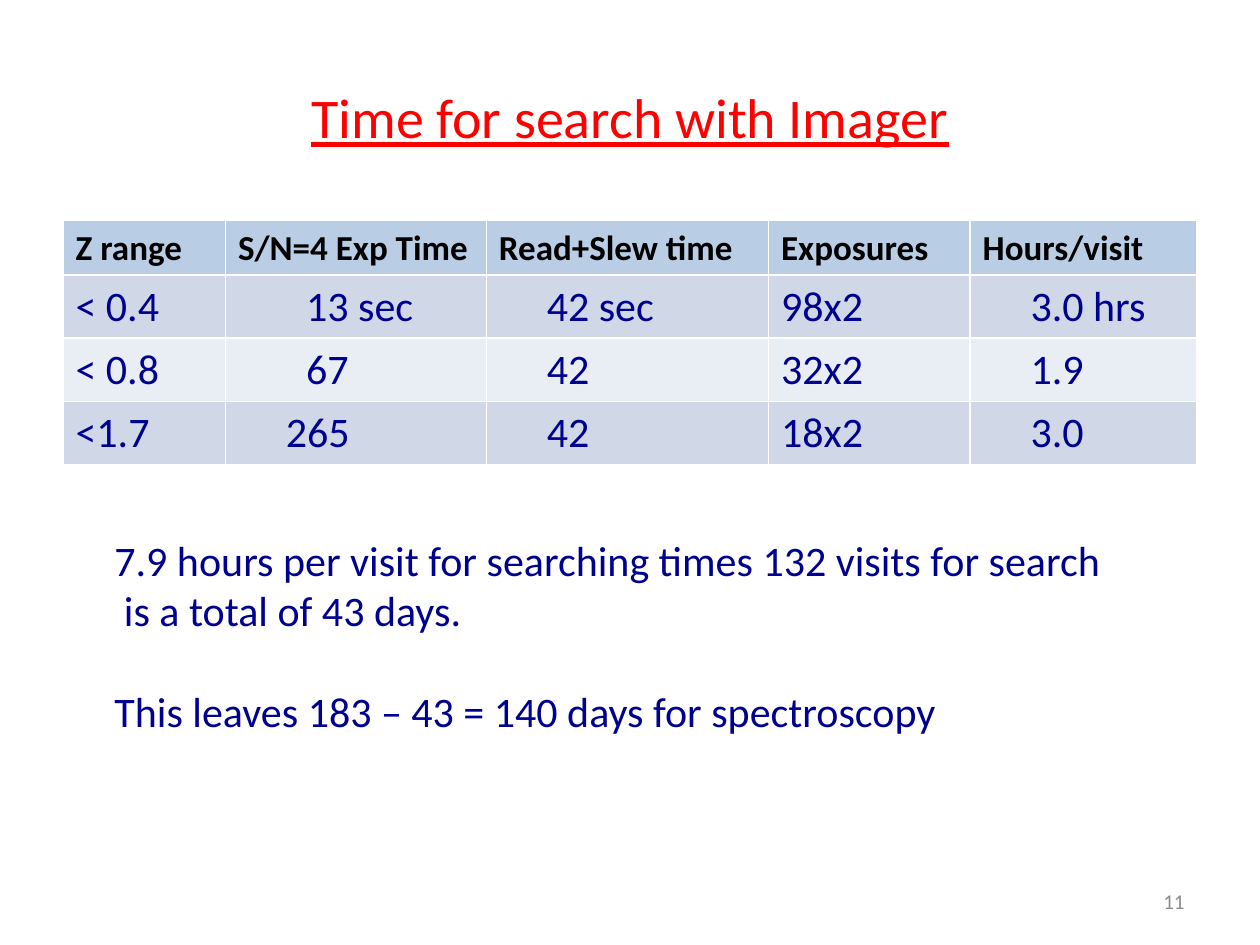
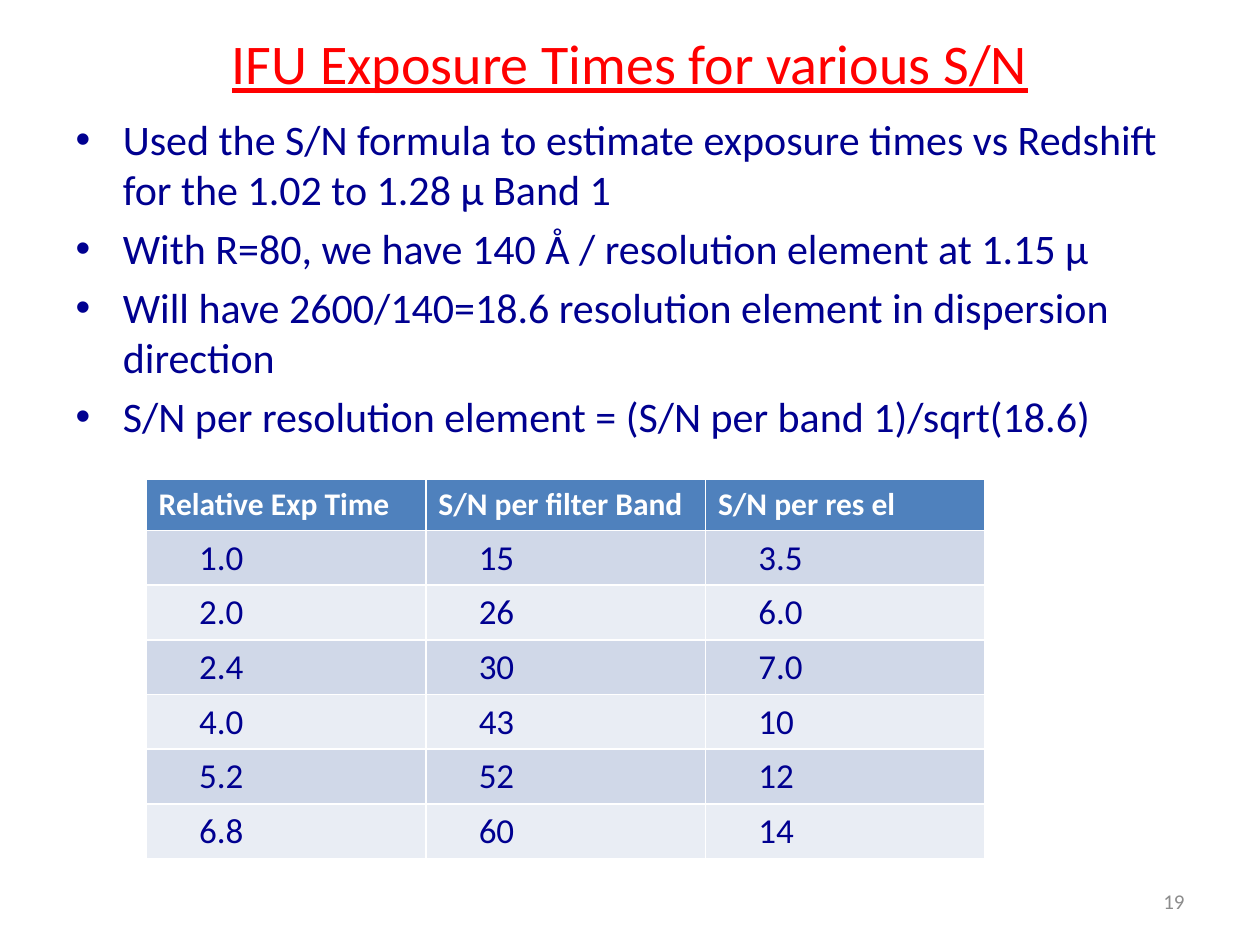
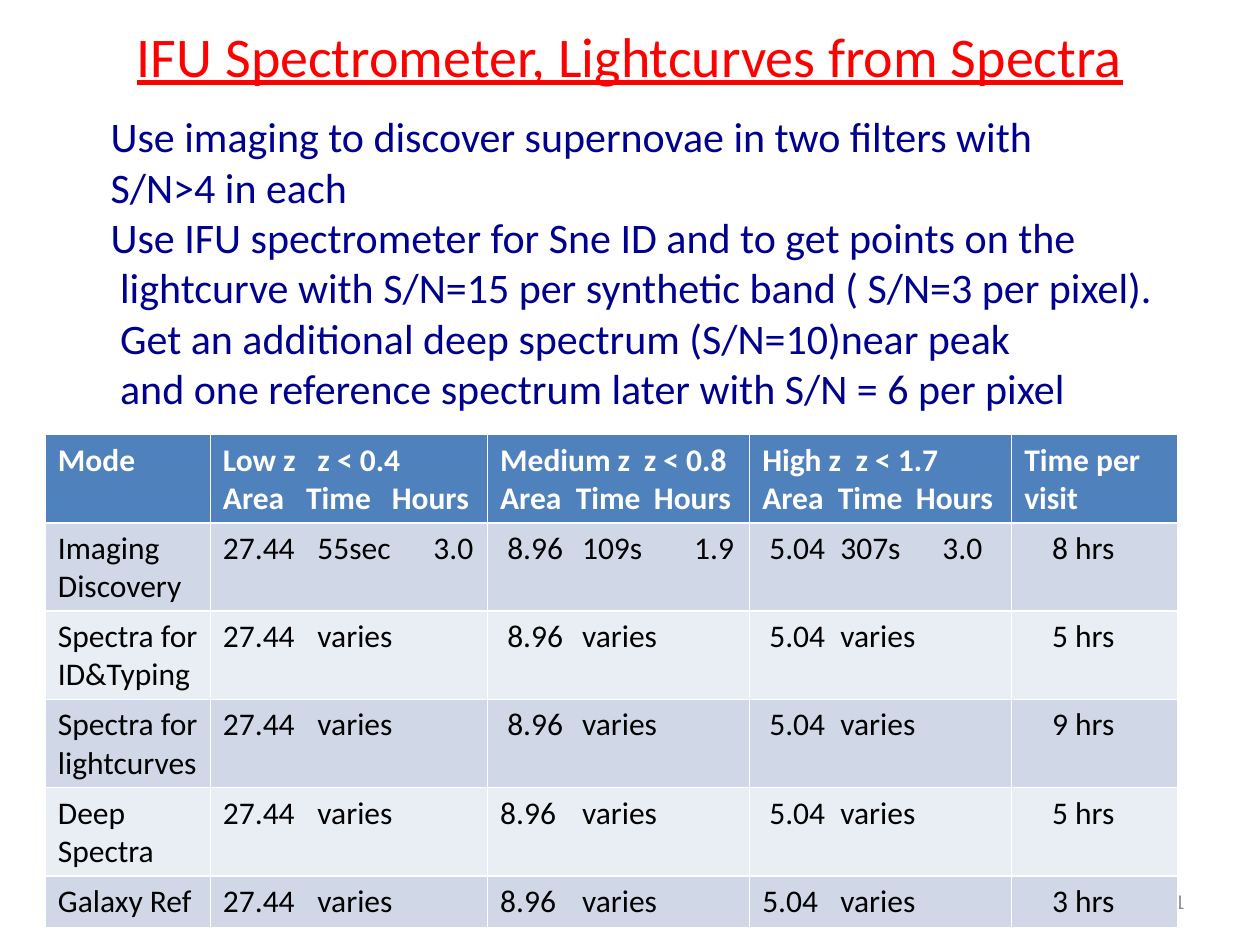
from dataclasses import dataclass

from pptx import Presentation
from pptx.dml.color import RGBColor
from pptx.enum.text import MSO_ANCHOR, PP_ALIGN
from pptx.oxml.ns import qn
from pptx.util import Inches, Pt
from lxml.etree import SubElement

COLORS = {
    "title": "FF0000", "text": "000090", "black": "000000", "white": "FFFFFF",
    "page": "8C8C8C", "pale": "B9CDE5", "blue": "4F81BD",
    "odd": "D0D8E8", "even": "E9EDF4",
}
FONT = "Calibri"
ROW = 0.41
BULLETS, TITLE_ONLY = 1, 5


@dataclass
class Style:
    size: int
    color: str
    bold: bool = False
    line: bool = False


@dataclass
class Col:
    """A table column: its indent and tab stops, with stops for each head line."""
    width: float
    indent: float = 0
    stops: tuple = ()
    heads: tuple = ((),)


@dataclass
class Grid:
    box: tuple
    cols: list
    rows: list
    fill: str
    head: Style
    body: Style


TITLE = Style(32, "title", line=True)
TEXT = Style(24, "text")
PAGE = Style(12, "page")


def paint(par, style: Style) -> None:
    for run in par.runs:
        font = run.font
        font.name, font.size = FONT, Pt(style.size)
        font.bold, font.underline = style.bold, style.line
        font.color.rgb = RGBColor.from_string(COLORS[style.color])


def write(frame, text: str, style: Style) -> None:
    frame.text = text
    for par in frame.paragraphs:
        paint(par, style)


def place(shape, left: float, top: float, width: float, height: float) -> None:
    shape.left, shape.top = Inches(left), Inches(top)
    shape.width, shape.height = Inches(width), Inches(height)


def add_text(slide, box: tuple, text: str, style: Style):
    frame = slide.shapes.add_textbox(*map(Inches, box)).text_frame
    frame.word_wrap = True
    write(frame, text, style)
    return frame


def start(deck, layout: int, title: str, top: float, page: int):
    """Add a slide with its title and page number."""
    slide = deck.slides.add_slide(deck.slide_layouts[layout])
    place(slide.shapes.title, 0.5, top, 9, 1.25)
    write(slide.shapes.title.text_frame, title, TITLE)
    frame = add_text(slide, (7.17, 6.95, 2.33, 0.4), str(page), PAGE)
    frame.vertical_anchor = MSO_ANCHOR.MIDDLE
    frame.paragraphs[0].alignment = PP_ALIGN.RIGHT
    return slide


def set_tabs(par, stops: tuple) -> None:
    if stops:
        tabs = SubElement(par._p.get_or_add_pPr(), qn("a:tabLst"))
        for stop in stops:
            SubElement(tabs, qn("a:tab"), pos=str(Inches(stop)), algn="l")


def add_grid(slide, grid: Grid) -> None:
    shape = slide.shapes.add_table(
        len(grid.rows), len(grid.cols), *map(Inches, grid.box))
    table = shape.table
    for col, spec in zip(table.columns, grid.cols):
        col.width = Inches(spec.width)
    for r, texts in enumerate(grid.rows):
        table.rows[r].height = Inches(ROW)
        fill = grid.fill if r == 0 else "odd" if r % 2 else "even"
        for c, (text, col) in enumerate(zip(texts, grid.cols)):
            cell = table.cell(r, c)
            cell.fill.solid()
            cell.fill.fore_color.rgb = RGBColor.from_string(COLORS[fill])
            write(cell.text_frame, text, grid.body if r else grid.head)
            pars = cell.text_frame.paragraphs
            if r == 0:
                for par, stops in zip(pars, col.heads):
                    set_tabs(par, stops)
                continue
            for par in pars:
                if col.indent:
                    par._p.get_or_add_pPr().set("marL", str(Inches(col.indent)))
                set_tabs(par, col.stops)
    shape.height = Inches(grid.box[3])


def add_search(deck) -> None:
    slide = start(deck, TITLE_ONLY, "Time for search with Imager", 0.3, 11)
    add_grid(slide, Grid(
        (0.5, 1.75, 9, 1.93),
        [Col(1.29), Col(2.07, stops=(0.38, 0.54)), Col(2.24, 0.38),
         Col(1.6), Col(1.8, 0.38)],
        [["Z range", "S/N=4 Exp Time", "Read+Slew time", "Exposures",
          "Hours/visit"],
         ["< 0.4", "\t\t13 sec", "42 sec", "98x2", "3.0 hrs"],
         ["< 0.8", "\t\t67", "42", "32x2", "1.9"],
         ["<1.7", "\t265", "42", "18x2", "3.0"]],
        "pale", Style(20, "black", bold=True), TEXT))
    frame = add_text(
        slide, (0.81, 4.19, 8.13, 1.72),
        "7.9 hours per visit for searching times 132 visits for search\n"
        " is a total of 43 days.\n"
        "This leaves 183 – 43 = 140 days for spectroscopy", TEXT)
    frame.paragraphs[-1].space_before = Pt(29)


def add_times(deck) -> None:
    slide = start(deck, BULLETS, "IFU Exposure Times for various S/N", -0.13, 19)
    body = slide.placeholders[1]
    place(body, 0.5, 0.85, 9, 6.1)
    write(body.text_frame, "\n".join([
        "Used the S/N formula to estimate exposure times vs Redshift "
        "for the 1.02 to 1.28 μ Band 1",
        "With R=80, we have 140 Å / resolution element at 1.15 μ",
        "Will have 2600/140=18.6 resolution element in dispersion direction",
        "S/N per resolution element = (S/N per band 1)/sqrt(18.6)",
    ]), TEXT)
    add_grid(slide, Grid(
        (1.16, 3.8, 6.67, 3.01), [Col(2.22, 0.32)] * 3,
        [["Relative Exp Time", "S/N per filter Band", "S/N per res el"],
         ["1.0", "15", "3.5"],
         ["2.0", "26", "6.0"],
         ["2.4", "30", "7.0"],
         ["4.0", "43", "10"],
         ["5.2", "52", "12"],
         ["6.8", "60", "14"]],
        "blue", Style(18, "white", bold=True), Style(20, "text")))


def add_curves(deck) -> None:
    slide = start(deck, TITLE_ONLY,
                  "IFU Spectrometer, Lightcurves from Spectra", -0.19, 21)
    heads = "\nArea\tTime\tHours"
    add_grid(slide, Grid(
        (0.36, 3.45, 9, 3.91),
        [Col(1.31),
         Col(2.2, stops=(0.75, 1.67), heads=((0.75,), (0.66, 1.34))),
         Col(2.08, stops=(0.65, 1.54), heads=((1.14,), (0.6, 1.22))),
         Col(2.08, stops=(0.62, 1.43), heads=((0.74,), (0.6, 1.22))),
         Col(1.32, 0.22)],
        [["Mode", "Low z\tz < 0.4" + heads, "Medium z\tz < 0.8" + heads,
          "High z\tz < 1.7" + heads, "Time per visit"],
         ["Imaging Discovery", "27.44\t55sec\t3.0", " 8.96\t109s\t1.9",
          " 5.04\t307s\t3.0", "8 hrs"],
         ["Spectra for ID&Typing", "27.44\tvaries", " 8.96\tvaries",
          " 5.04\tvaries", "5 hrs"],
         ["Spectra for lightcurves", "27.44\tvaries", " 8.96\tvaries",
          " 5.04\tvaries", "9 hrs"],
         ["Deep\nSpectra", "27.44\tvaries", "8.96\tvaries",
          " 5.04\tvaries", "5 hrs"],
         ["Galaxy Ref", "27.44\tvaries", "8.96\tvaries",
          "5.04\tvaries", "3 hrs"]],
        "blue", Style(18, "white", bold=True), Style(18, "black")))
    add_text(slide, (0.78, 0.83, 8.83, 3.33), "\n".join([
        "Use imaging to discover supernovae in two filters with",
        "S/N>4 in each",
        "Use IFU spectrometer for Sne ID and to get points on the",
        " lightcurve with S/N=15 per synthetic band ( S/N=3 per pixel).",
        " Get an additional deep spectrum (S/N=10)near peak",
        " and one reference spectrum later with S/N = 6 per pixel",
    ]), TEXT)


def main() -> None:
    deck = Presentation()
    deck.slide_width, deck.slide_height = Inches(10), Inches(7.5)
    add_search(deck)
    add_times(deck)
    add_curves(deck)
    deck.save("out.pptx")


if __name__ == "__main__":
    main()
